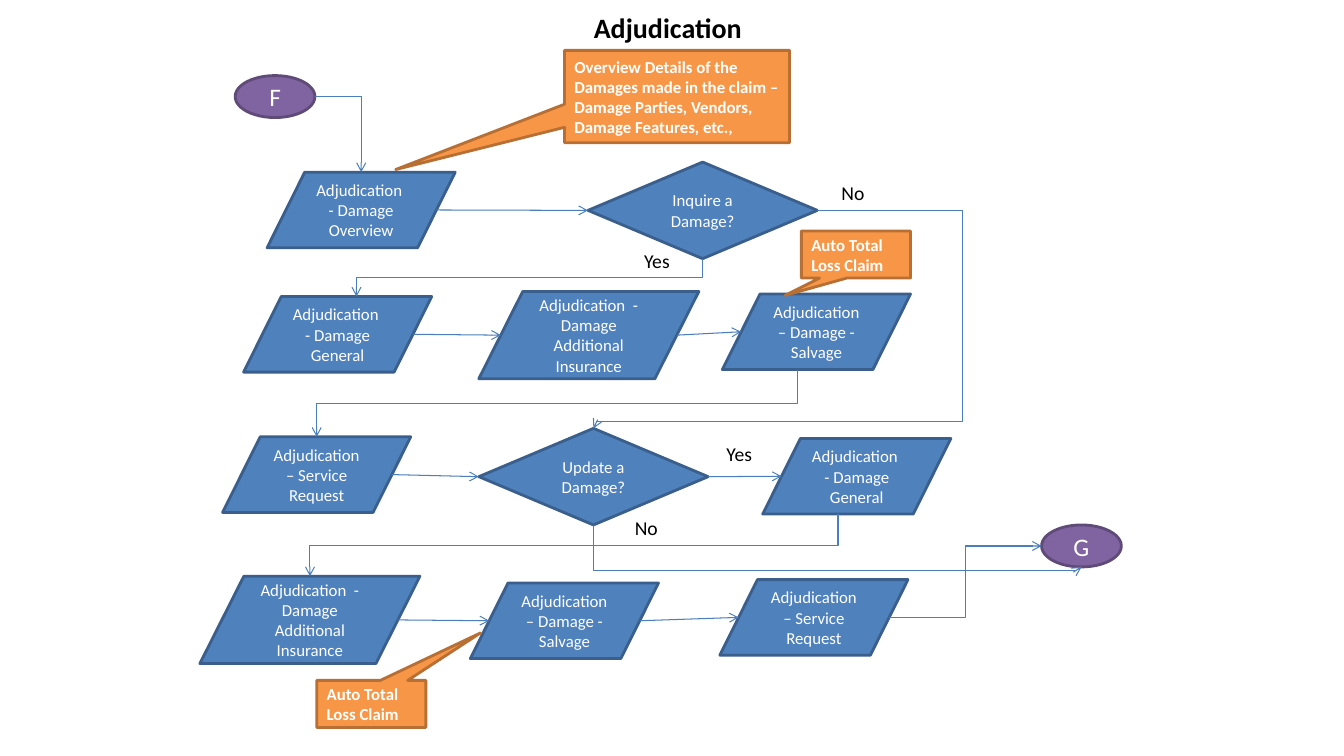
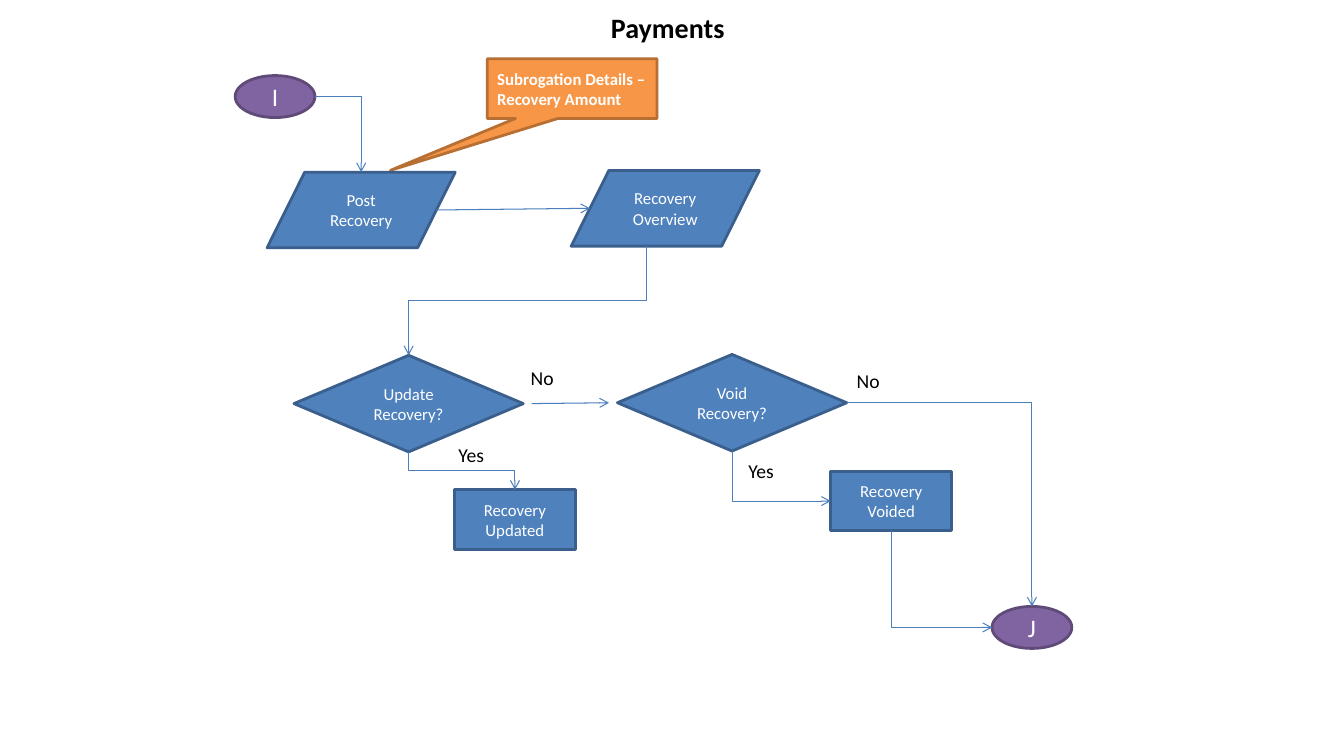
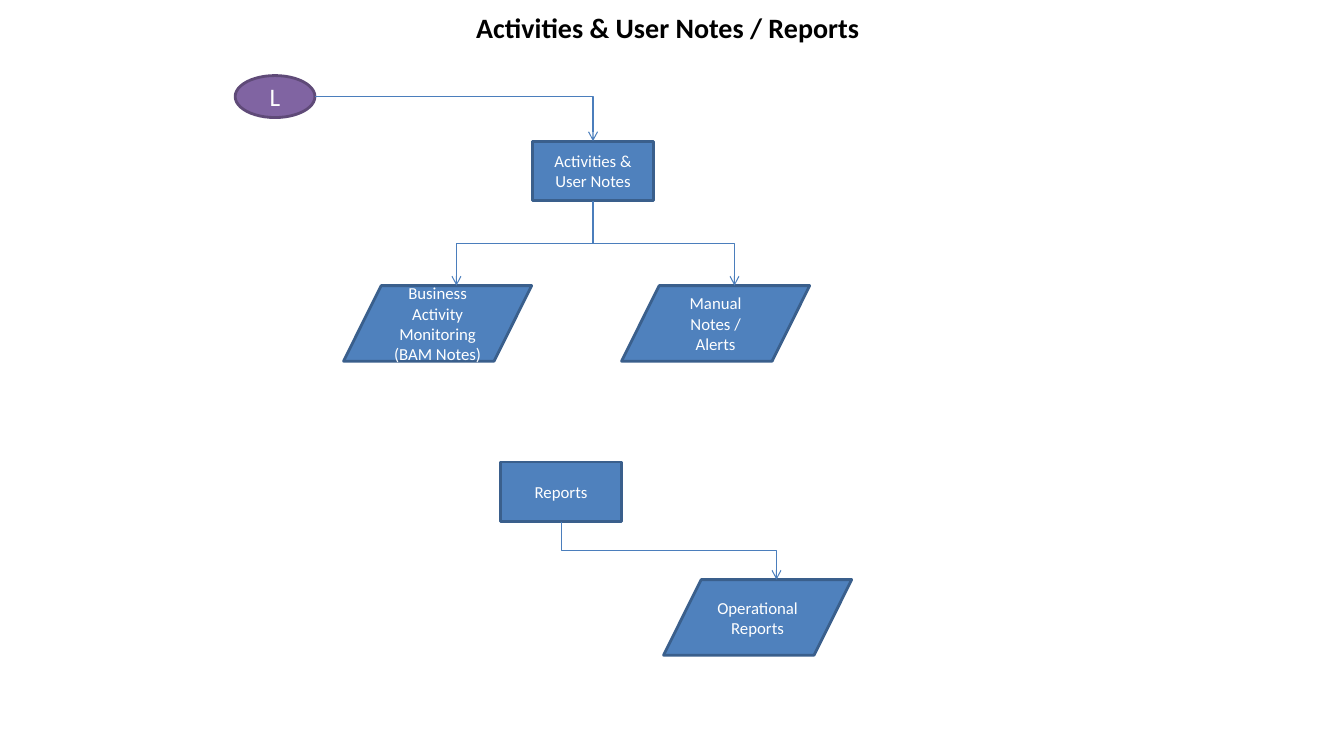
"""Build three claim-process flowchart slides."""
import dataclasses
import enum
import typing

import lxml.etree
import pptx
import pptx.dml.color
import pptx.enum.shapes
import pptx.enum.text
import pptx.oxml.ns
import pptx.util

RGBColor = pptx.dml.color.RGBColor
Preset = pptx.enum.shapes.MSO_SHAPE
Align = pptx.enum.text.PP_ALIGN
Anchor = pptx.enum.text.MSO_ANCHOR
qn = pptx.oxml.ns.qn

SLIDE_WIDTH = pptx.util.Inches(13.33)
SLIDE_HEIGHT = pptx.util.Inches(7.5)
COLUMNS, ROWS = 160, 90
FONT = "Calibri"
BLACK = RGBColor(0x00, 0x00, 0x00)
WHITE = RGBColor(0xFF, 0xFF, 0xFF)
BLUE = RGBColor(0x4F, 0x81, 0xBD)
BLUE_EDGE = RGBColor(0x3A, 0x5F, 0x8C)
PURPLE = RGBColor(0x80, 0x64, 0xA2)
PURPLE_EDGE = RGBColor(0x5F, 0x4A, 0x78)
ORANGE = RGBColor(0xF7, 0x96, 0x46)
ORANGE_EDGE = RGBColor(0xB7, 0x6F, 0x34)
LINK_BLUE = RGBColor(0x4B, 0x7E, 0xBC)


class Side(enum.Enum):
    """Places on a step where a link may touch."""

    LEFT = "left"
    RIGHT = "right"
    TOP = "top"
    BOTTOM = "bottom"
    TOP_CENTRE = "top centre"


class Route(enum.Enum):
    """Connector outline, and whether it leaves vertically."""

    STRAIGHT = ("line", False)
    ACROSS_TURN = ("bentConnector2", False)
    DOWN_TURN = ("bentConnector2", True)
    ACROSS_STEP = ("bentConnector3", False)
    DOWN_STEP = ("bentConnector3", True)
    AROUND = ("bentConnector4", False)


@dataclasses.dataclass(frozen=True)
class Look:
    """Shape, size in grid cells and style of one kind of step."""

    preset: Preset
    columns: float
    rows: float
    fill: RGBColor = BLUE
    edge: RGBColor = BLUE_EDGE
    size: int = 12
    bold: bool = False
    align: Align = Align.CENTER


@dataclasses.dataclass(frozen=True)
class Step:
    """A named flowchart shape at a grid cell."""

    key: str
    look: Look
    column: float
    row: float
    text: str
    tip: tuple[float, ...] = ()


@dataclasses.dataclass(frozen=True)
class Label:
    """A plain caption beside a branch."""

    column: float
    row: float
    text: str


@dataclasses.dataclass(frozen=True)
class Link:
    """An arrow between two steps, with end gaps in columns."""

    start: str
    start_side: Side
    end: str
    end_side: Side
    route: Route = Route.STRAIGHT
    bends: tuple[float, ...] = ()
    start_gap: float = 0
    end_gap: float = 0


@dataclasses.dataclass(frozen=True)
class Chart:
    """The content of one slide."""

    title: str
    steps: list[Step]
    links: list[Link]
    labels: list[Label] = dataclasses.field(default_factory=list)


TERMINAL = Look(Preset.OVAL, 9.5, 5, PURPLE, PURPLE_EDGE, 18)
DATA = Look(Preset.FLOWCHART_DATA, 22.4, 9)
WIDE_DATA = dataclasses.replace(DATA, columns=26.2, rows=10.4)
DECISION = Look(Preset.FLOWCHART_DECISION, 27.3, 11.5)
PROCESS = Look(Preset.FLOWCHART_PROCESS, 14.4, 7.1)
CALLOUT = Look(Preset.RECTANGULAR_CALLOUT, 13, 5.6, ORANGE, ORANGE_EDGE,
               bold=True, align=Align.LEFT)
LARGE_CALLOUT = dataclasses.replace(CALLOUT, columns=26.8, rows=11)
MEDIUM_CALLOUT = dataclasses.replace(CALLOUT, columns=20.2, rows=7.1)

SITES = {Side.LEFT: (0, 0.5), Side.RIGHT: (1, 0.5), Side.TOP: (0.5, 0),
         Side.BOTTOM: (0.5, 1), Side.TOP_CENTRE: (0.5, 0)}
DATA_SITES = {Side.LEFT: (0.1, 0.5), Side.RIGHT: (0.9, 0.5), Side.TOP: (0.6, 0),
              Side.BOTTOM: (0.4, 1), Side.TOP_CENTRE: (0.5, 0)}

OVERVIEW_TEXT = "Adjudication  - Damage Overview"
GENERAL_TEXT = "Adjudication  - Damage General"
INSURANCE_TEXT = "Adjudication  - Damage Additional Insurance"
SALVAGE_TEXT = "Adjudication – Damage - Salvage"
SERVICE_TEXT = "Adjudication – Service Request"
LOSS_TEXT = "Auto Total Loss Claim"

CHARTS = [
    Chart(
        "Adjudication",
        [
            Step("F", TERMINAL, 28, 9, "F"),
            Step("G", TERMINAL, 124, 62.5, "G"),
            Step("details", LARGE_CALLOUT, 67.2, 6,
                 "Overview Details of the Damages made in the claim – "
                 "Damage Parties, Vendors, Damage Features, etc.,", (-1.25, 0.79)),
            Step("overview", DATA, 31.8, 20.5, OVERVIEW_TEXT),
            Step("inquire", DECISION, 70, 19.3, "Inquire a Damage?"),
            Step("general", DATA, 29, 35.3, GENERAL_TEXT),
            Step("insurance", WIDE_DATA, 57, 34.7, INSURANCE_TEXT),
            Step("salvage", DATA, 86, 35, SALVAGE_TEXT),
            Step("loss", CALLOUT, 95.4, 27.5, LOSS_TEXT, (-0.65, 0.87)),
            Step("service", DATA, 26.5, 52, SERVICE_TEXT),
            Step("update", DECISION, 57, 51, "Update a Damage?"),
            Step("new general", DATA, 90.8, 52.2, GENERAL_TEXT),
            Step("new insurance", WIDE_DATA, 23.8, 68.6, INSURANCE_TEXT),
            Step("new salvage", DATA, 56, 69.4, SALVAGE_TEXT),
            Step("new service", DATA, 85.7, 69, SERVICE_TEXT),
            Step("new loss", CALLOUT, 37.7, 81, LOSS_TEXT, (1, -1.51)),
        ],
        [
            Link("F", Side.RIGHT, "overview", Side.TOP_CENTRE, Route.ACROSS_TURN),
            Link("overview", Side.RIGHT, "inquire", Side.LEFT),
            Link("inquire", Side.RIGHT, "update", Side.TOP, Route.AROUND, (-0.65, 0.97)),
            Link("inquire", Side.BOTTOM, "general", Side.TOP, Route.DOWN_STEP),
            Link("general", Side.RIGHT, "insurance", Side.LEFT),
            Link("insurance", Side.RIGHT, "salvage", Side.LEFT),
            Link("salvage", Side.BOTTOM, "service", Side.TOP_CENTRE, Route.DOWN_STEP),
            Link("service", Side.RIGHT, "update", Side.LEFT),
            Link("update", Side.RIGHT, "new general", Side.LEFT),
            Link("update", Side.BOTTOM, "G", Side.BOTTOM, Route.DOWN_STEP, (1.09,)),
            Link("new general", Side.BOTTOM, "new insurance", Side.TOP_CENTRE,
                 Route.DOWN_STEP),
            Link("new insurance", Side.RIGHT, "new salvage", Side.LEFT),
            Link("new salvage", Side.RIGHT, "new service", Side.LEFT),
            Link("new service", Side.RIGHT, "G", Side.LEFT, Route.ACROSS_STEP),
        ],
        [Label(75.5, 29, "Yes"), Label(99, 21, "No"),
         Label(85.3, 52, "Yes"), Label(74.4, 60.8, "No")],
    ),
    Chart(
        "Payments",
        [
            Step("I", TERMINAL, 28, 9, "I"),
            Step("J", TERMINAL, 118.1, 72.2, "J"),
            Step("details", MEDIUM_CALLOUT, 58, 7,
                 "Subrogation Details – Recovery Amount", (-1.07, 1.37)),
            Step("post", DATA, 31.8, 20.5, "Post Recovery"),
            Step("overview", DATA, 68, 20.3, "Recovery Overview"),
            Step("update", DECISION, 35, 42.3, "Update Recovery?"),
            Step("updated", PROCESS, 54.1, 58.3, "Recovery Updated"),
            Step("void", DECISION, 73.5, 42.2, "Void Recovery?"),
            Step("voided", PROCESS, 98.9, 56.1, "Recovery Voided"),
        ],
        [
            Link("I", Side.RIGHT, "post", Side.TOP_CENTRE, Route.ACROSS_TURN),
            Link("post", Side.RIGHT, "overview", Side.LEFT),
            Link("overview", Side.BOTTOM, "update", Side.TOP, Route.DOWN_STEP),
            Link("update", Side.BOTTOM, "updated", Side.TOP, Route.DOWN_STEP),
            Link("update", Side.RIGHT, "void", Side.LEFT, start_gap=1, end_gap=-1),
            Link("void", Side.BOTTOM, "voided", Side.LEFT, Route.DOWN_TURN),
            Link("void", Side.RIGHT, "J", Side.TOP, Route.ACROSS_TURN),
            Link("voided", Side.BOTTOM, "J", Side.LEFT, Route.DOWN_TURN),
        ],
        [Label(53.4, 52.1, "Yes"), Label(62, 43, "No"),
         Label(87.9, 54, "Yes"), Label(100.8, 43.3, "No")],
    ),
    Chart(
        "Activities & User Notes / Reports",
        [
            Step("L", TERMINAL, 28, 9, "L"),
            Step("activities", PROCESS, 63.4, 16.8, "Activities & User Notes"),
            Step("monitoring", DATA, 40.9, 34, "Business Activity Monitoring (BAM Notes)"),
            Step("manual", DATA, 74, 34, "Manual Notes / Alerts"),
            Step("reports", PROCESS, 59.6, 55, "Reports"),
            Step("operational", DATA, 79, 69, "Operational Reports"),
        ],
        [
            Link("L", Side.RIGHT, "activities", Side.TOP, Route.ACROSS_TURN),
            Link("activities", Side.BOTTOM, "monitoring", Side.TOP, Route.DOWN_STEP),
            Link("activities", Side.BOTTOM, "manual", Side.TOP, Route.DOWN_STEP),
            Link("reports", Side.BOTTOM, "operational", Side.TOP, Route.DOWN_STEP),
        ],
    ),
]


def across(columns: float) -> int:
    """Return the width of a number of grid columns."""
    return round(SLIDE_WIDTH * columns / COLUMNS)


def down(rows: float) -> int:
    """Return the height of a number of grid rows."""
    return round(SLIDE_HEIGHT * rows / ROWS)


def write(box: typing.Any, text: str, size: int, colour: RGBColor, bold: bool = False,
          align: Align = Align.LEFT, anchor: Anchor = Anchor.MIDDLE) -> None:
    """Fill a shape with one styled paragraph."""
    frame = box.text_frame
    frame.text = text
    frame.word_wrap = True
    frame.vertical_anchor = anchor
    para = frame.paragraphs[0]
    para.alignment = align
    font = para.runs[0].font
    font.name, font.size, font.bold = FONT, pptx.util.Pt(size), bold
    font.color.rgb = colour


def draw_title(page: typing.Any, title: str) -> None:
    """Draw the slide heading."""
    box = page.shapes.add_textbox(across(20), down(0.6), across(119), down(5.4))
    write(box, title, 20, BLACK, True, Align.CENTER)


def draw_step(page: typing.Any, step: Step) -> None:
    """Draw one flowchart shape."""
    look = step.look
    box = page.shapes.add_shape(look.preset, across(step.column), down(step.row),
                                across(look.columns), down(look.rows))
    box.shadow.inherit = False
    box.fill.solid()
    box.fill.fore_color.rgb = look.fill
    box.line.color.rgb = look.edge
    box.line.width = pptx.util.Pt(2)
    for index, share in enumerate(step.tip):
        box.adjustments[index] = share
    write(box, step.text, look.size, WHITE, look.bold, look.align)


def draw_label(page: typing.Any, label: Label) -> None:
    """Draw one branch caption."""
    box = page.shapes.add_textbox(across(label.column), down(label.row),
                                  across(6), down(4))
    write(box, label.text, 14, BLACK, anchor=Anchor.TOP)


def locate(step: Step, side: Side, gap: float) -> tuple[int, int]:
    """Return the point where a link touches a step."""
    sites = DATA_SITES if step.look.preset == Preset.FLOWCHART_DATA else SITES
    share_x, share_y = sites[side]
    return (across(step.column + share_x * step.look.columns + gap),
            down(step.row + share_y * step.look.rows))


def draw_link(page: typing.Any, link: Link, steps: dict[str, Step]) -> None:
    """Draw one arrow, turning its frame when it leaves vertically."""
    start_x, start_y = locate(steps[link.start], link.start_side, link.start_gap)
    end_x, end_y = locate(steps[link.end], link.end_side, link.end_gap)
    outline, vertical = link.route.value
    rightward = end_x > start_x
    if vertical:
        middle_x, middle_y = (start_x + end_x) // 2, (start_y + end_y) // 2
        reach = (end_y - start_y) // 2 * (1 if rightward else -1)
        spread = abs(end_x - start_x) // 2
        start_x, end_x = middle_x + reach, middle_x - reach
        start_y, end_y = middle_y - spread, middle_y + spread
    kind = pptx.enum.shapes.MSO_CONNECTOR.ELBOW
    if link.route is Route.STRAIGHT:
        kind = pptx.enum.shapes.MSO_CONNECTOR.STRAIGHT
    connector = page.shapes.add_connector(kind, start_x, start_y, end_x, end_y)
    connector.line.color.rgb = LINK_BLUE
    connector.line.width = pptx.util.Pt(0.75)
    properties = connector.element.spPr
    if vertical:
        properties.find(qn("a:xfrm")).set("rot", str((270 if rightward else 90) * 60000))
    geometry = properties.find(qn("a:prstGeom"))
    geometry.set("prst", outline)
    for number, bend in enumerate(link.bends, 1):
        lxml.etree.SubElement(geometry.find(qn("a:avLst")), qn("a:gd"),
                              name=f"adj{number}", fmla=f"val {round(bend * 100000)}")
    lxml.etree.SubElement(properties.find(qn("a:ln")), qn("a:tailEnd"), type="arrow")
    lxml.etree.SubElement(properties, qn("a:effectLst"))


def draw_chart(deck: typing.Any, chart: Chart) -> None:
    """Add one slide with its flowchart."""
    page = deck.slides.add_slide(deck.slide_layouts[6])
    draw_title(page, chart.title)
    for step in chart.steps:
        draw_step(page, step)
    steps = {step.key: step for step in chart.steps}
    for link in chart.links:
        draw_link(page, link, steps)
    for label in chart.labels:
        draw_label(page, label)


def main() -> None:
    """Build and save the deck."""
    deck = pptx.Presentation()
    deck.slide_width, deck.slide_height = SLIDE_WIDTH, SLIDE_HEIGHT
    for chart in CHARTS:
        draw_chart(deck, chart)
    deck.save("out.pptx")


if __name__ == "__main__":
    main()
